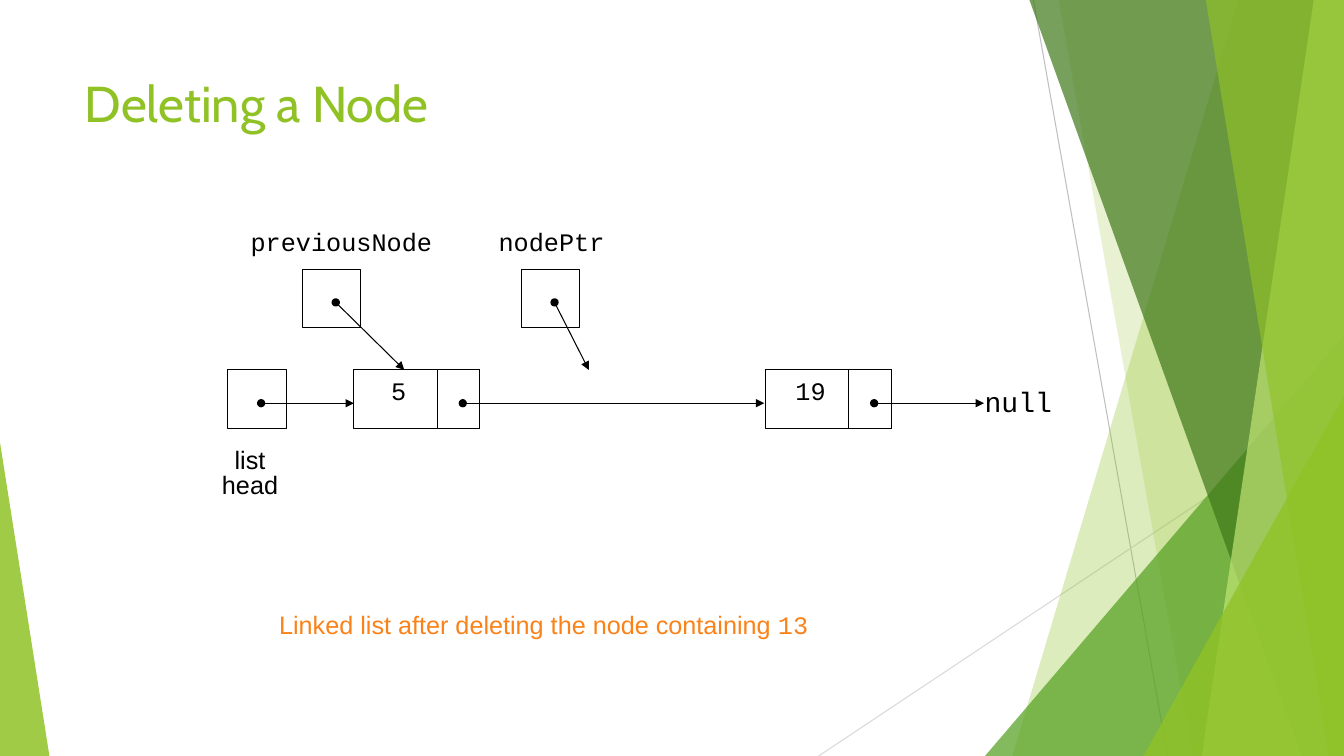
from dataclasses import dataclass

from lxml import etree
from pptx import Presentation
from pptx.dml.color import RGBColor
from pptx.enum.shapes import MSO_CONNECTOR, MSO_SHAPE
from pptx.enum.text import MSO_ANCHOR, MSO_AUTO_SIZE, PP_ALIGN
from pptx.oxml.ns import qn
from pptx.util import Inches, Pt

STRAIGHT = MSO_CONNECTOR.STRAIGHT
RECTANGLE = MSO_SHAPE.RECTANGLE
TRIANGLE = MSO_SHAPE.ISOSCELES_TRIANGLE
TOP = MSO_ANCHOR.TOP
NO_AUTO_SIZE = MSO_AUTO_SIZE.NONE
LEFT, CENTER = PP_ALIGN.LEFT, PP_ALIGN.CENTER

WIDTH, HEIGHT = 13.33, 7.5
GREEN, ORANGE, BLACK = "90C226", "FA8218", "000000"
MONO, SANS, TITLE_FONT = "Courier New", "Arial", "Cabin"
CELL = 0.58
NODE_WIDTH, LINK_WIDTH = 1.25, 0.42
NODE_TOP, POINTER_TOP = 3.67, 2.67
LIST_LINE, POINTER_LINE = 4, 3


@dataclass(frozen=True)
class Band:
    top_left: float
    top_right: float
    bottom_left: float
    color: str
    opacity: int


@dataclass(frozen=True)
class Corner:
    left: float
    top: float
    width: float
    apex: float
    color: str
    opacity: int


@dataclass(frozen=True)
class Line:
    start: tuple[float, float]
    end: tuple[float, float]
    color: str = BLACK
    arrow: bool = True


@dataclass(frozen=True)
class Label:
    runs: tuple[tuple[str, str], ...]
    left: float
    top: float
    width: float
    height: float
    size: int = 18
    color: str = BLACK
    spacing: float = 1.0
    align: PP_ALIGN = CENTER


BACK_BANDS = [
    Band(12.28, WIDTH, 10.04, GREEN, 30),
    Band(10.5, WIDTH, 11.83, GREEN, 20),
]
FRONT_BANDS = [
    Band(10.21, WIDTH, 12.91, "3F7819", 70),
    Band(13.03, WIDTH, 11.92, "C0E474", 70),
    Band(11.96, WIDTH, 13.18, GREEN, 65),
]
MIDDLE_CORNER = Corner(9.77, 3.33, 3.56, 1, "54A021", 72)
FRONT_CORNERS = [
    Corner(11.34, 3.93, 1.99, 1, GREEN, 80),
    Corner(0, 4.39, 0.49, 0, GREEN, 85),
]
BACKGROUND_LINES = [
    Line((10.25, 0), (11.58, HEIGHT), "BFBFBF", False),
    Line((WIDTH, 4.03), (8.12, HEIGHT), "D9D9D9", False),
]
POINTER_CELLS = [(2.26, NODE_TOP), (3, POINTER_TOP), (5.17, POINTER_TOP)]
NODE_LEFTS = [3.51, 7.59]
ARROWS = [
    Line((2.59, LIST_LINE), (3.51, LIST_LINE)),
    Line((4.59, LIST_LINE), (7.58, LIST_LINE)),
    Line((8.67, LIST_LINE), (9.76, LIST_LINE)),
    Line((3.33, POINTER_LINE), (4.01, NODE_TOP)),
    Line((5.5, POINTER_LINE), (5.84, NODE_TOP)),
]
LABELS = [
    Label((("null", MONO),), 9.66, 3.7, 0.88, 0.49, size=20, spacing=1.2),
    Label((("list\nhead", SANS),), 2.1, 4.42, 0.76, 0.59, spacing=0.8),
    Label((("5", MONO),), 3.78, NODE_TOP, 0.35, 0.4),
    Label((("19", MONO),), 7.79, NODE_TOP, 0.5, 0.4),
    Label((("previousNode", MONO),), 2.38, 2.25, 2.01, 0.36, spacing=0.8),
    Label((("nodePtr", MONO),), 4.84, 2.25, 1.26, 0.36, spacing=0.8),
    Label((("Linked list after deleting the node containing ", SANS), ("13", MONO)),
          2.67, 6, 5.5, 0.4, color=ORANGE, align=LEFT),
]


def rgb(color: str) -> RGBColor:
    return RGBColor.from_string(color)


def add_run(paragraph, text: str, *, font: str, size: int, color: str) -> None:
    run = paragraph.add_run()
    run.text = text
    run.font.name = font
    run.font.size = Pt(size)
    run.font.color.rgb = rgb(color)


def fill_translucent(shape, color: str, opacity: int) -> None:
    shape.shadow.inherit = False
    shape.line.fill.background()
    shape.fill.solid()
    shape.fill.fore_color.rgb = rgb(color)
    color_element = shape._element.spPr.find(qn("a:solidFill"))[0]
    etree.SubElement(color_element, qn("a:alpha"), val=str(opacity * 1000))


def add_band(slide, band: Band) -> None:
    builder = slide.shapes.build_freeform(Inches(band.top_left), 0, scale=1.0)
    corners = [(band.top_right, 0), (WIDTH, HEIGHT), (band.bottom_left, HEIGHT)]
    builder.add_line_segments([(Inches(x), Inches(y)) for x, y in corners], close=True)
    fill_translucent(builder.convert_to_shape(), band.color, band.opacity)


def add_corner(slide, corner: Corner) -> None:
    shape = slide.shapes.add_shape(
        TRIANGLE, Inches(corner.left), Inches(corner.top),
        Inches(corner.width), Inches(HEIGHT - corner.top))
    shape.adjustments[0] = corner.apex
    fill_translucent(shape, corner.color, corner.opacity)


def add_line(slide, line: Line) -> None:
    points = [Inches(value) for value in (*line.start, *line.end)]
    connector = slide.shapes.add_connector(STRAIGHT, *points)
    connector.line.color.rgb = rgb(line.color)
    connector.line.width = Pt(0.75)
    if line.arrow:
        outline = connector.line._get_or_add_ln()
        etree.SubElement(outline, qn("a:headEnd"), type="oval")
        etree.SubElement(outline, qn("a:tailEnd"), type="triangle")
    etree.SubElement(connector._element.spPr, qn("a:effectLst"))


def add_box(slide, left: float, top: float, width: float) -> None:
    shape = slide.shapes.add_shape(
        RECTANGLE, Inches(left), Inches(top), Inches(width), Inches(CELL))
    shape.shadow.inherit = False
    shape.fill.background()
    shape.line.color.rgb = rgb(BLACK)
    shape.line.width = Pt(0.75)


def add_label(slide, label: Label) -> None:
    box = slide.shapes.add_textbox(
        Inches(label.left), Inches(label.top), Inches(label.width), Inches(label.height))
    frame = box.text_frame
    frame.word_wrap = False
    paragraph = frame.paragraphs[0]
    for text, font in label.runs:
        for index, part in enumerate(text.split("\n")):
            if index:
                paragraph = frame.add_paragraph()
            add_run(paragraph, part, font=font, size=label.size, color=label.color)
    for paragraph in frame.paragraphs:
        paragraph.alignment = label.align
        paragraph.line_spacing = label.spacing


def format_title(slide) -> None:
    title = slide.shapes.title
    title.left, title.top = Inches(0.74), Inches(0.67)
    title.width, title.height = Inches(9.4), Inches(1.44)
    frame = title.text_frame
    frame.vertical_anchor = TOP
    frame.auto_size = NO_AUTO_SIZE
    paragraph = frame.paragraphs[0]
    paragraph.alignment = LEFT
    add_run(paragraph, "Deleting a Node", font=TITLE_FONT, size=36, color=GREEN)


def main() -> None:
    presentation = Presentation()
    presentation.slide_width = Inches(WIDTH)
    presentation.slide_height = Inches(HEIGHT)
    slide = presentation.slides.add_slide(presentation.slide_layouts[5])
    format_title(slide)
    for line in BACKGROUND_LINES:
        add_line(slide, line)
    for band in BACK_BANDS:
        add_band(slide, band)
    add_corner(slide, MIDDLE_CORNER)
    for band in FRONT_BANDS:
        add_band(slide, band)
    for corner in FRONT_CORNERS:
        add_corner(slide, corner)
    for left, top in POINTER_CELLS:
        add_box(slide, left, top, CELL)
    for left in NODE_LEFTS:
        add_box(slide, left, NODE_TOP, NODE_WIDTH)
        add_box(slide, left + NODE_WIDTH - LINK_WIDTH, NODE_TOP, LINK_WIDTH)
    for arrow in ARROWS:
        add_line(slide, arrow)
    for label in LABELS:
        add_label(slide, label)
    presentation.save("out.pptx")


if __name__ == "__main__":
    main()
